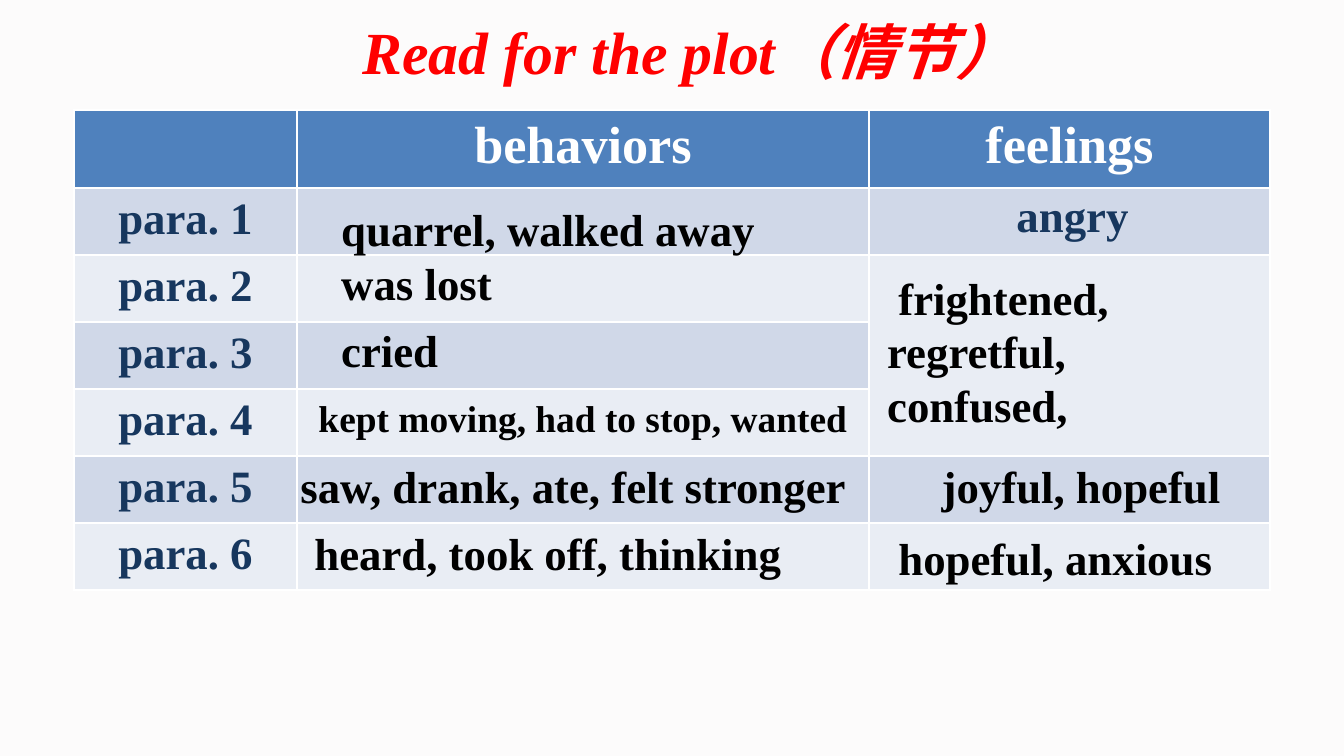
import pptx
import pptx.util
import pptx.dml.color
import pptx.enum.text

COLORS = {
    "background": "FCFBFB", "title": "FF0000", "header": "4F81BD",
    "header_text": "FFFFFF", "odd_band": "D0D8E8", "even_band": "E9EDF4",
    "label": "17375E", "answer": "000000",
}
FONT = "Times New Roman"
TITLE = "Read for the plot（情节）"
HEADERS = ["", "behaviors", "feelings"]
PARAGRAPHS = [f"para. {number}" for number in range(1, 7)]
COLUMN_WIDTHS = [223, 572, 401]
HEADER_HEIGHT, ROW_HEIGHT = 78, 67
TABLE_LEFT, TABLE_TOP = 74, 110

ANSWERS = [
    (["quarrel, walked away"], (328, 195, 446, 67), {}),
    (["was lost"], (328, 249, 185, 67), {}),
    (["cried"], (328, 316, 175, 67), {}),
    (["kept moving, had to stop, wanted"], (298, 384, 570, 67), {"size": 20, "align": "CENTER"}),
    ([" saw, drank, ate, felt stronger"], (276, 452, 641, 67), {}),
    ([" heard, took off, thinking"], (290, 519, 563, 67), {}),
    (["angry"], (875, 181, 395, 67), {"color": "label", "align": "CENTER"}),
    ([" frightened,", "regretful,", "confused,"], (874, 263, 329, 176), {}),
    ([" joyful, hopeful"], (875, 452, 401, 67), {"align": "CENTER"}),
    ([" hopeful, anxious"], (874, 524, 563, 67), {}),
]


def px(length):
    return pptx.util.Emu(round(length * 914400 / 134.4))


def paint(fill, color):
    fill.solid()
    fill.fore_color.rgb = pptx.dml.color.RGBColor.from_string(COLORS[color])


def place(shape, box):
    for side, length in zip(("left", "top", "width", "height"), box):
        setattr(shape, side, px(length))


def write(frame, lines, size=24, color="answer", align="LEFT", italic=False):
    frame.text = "\n".join(lines)
    font_format = {"name": FONT, "size": pptx.util.Pt(size), "bold": True, "italic": italic}
    for paragraph in frame.paragraphs:
        paragraph.alignment = pptx.enum.text.PP_ALIGN[align]
        for attribute, value in font_format.items():
            setattr(paragraph.font, attribute, value)
        for run in paragraph.runs:
            for attribute, value in font_format.items():
                setattr(run.font, attribute, value)
            paint(run.font.fill, color)


deck = pptx.Presentation()
deck.slide_width, deck.slide_height = px(1344), px(756)
slide = deck.slides.add_slide(deck.slide_layouts[5])
paint(slide.background.fill, "background")

title = slide.shapes.title
place(title, (328, 8, 722, 86))
title.text_frame.vertical_anchor = pptx.enum.text.MSO_ANCHOR.TOP
title.text_frame.auto_size = pptx.enum.text.MSO_AUTO_SIZE.NONE
write(title.text_frame, [TITLE], 32, "title", "CENTER", True)

rows = [HEADERS] + [[label, "", ""] for label in PARAGRAPHS]
row_heights = [HEADER_HEIGHT] + [ROW_HEIGHT] * len(PARAGRAPHS)
plot_table = slide.shapes.add_table(
    len(rows), len(HEADERS), px(TABLE_LEFT), px(TABLE_TOP),
    px(sum(COLUMN_WIDTHS)), px(sum(row_heights))).table
for column, width in zip(plot_table.columns, COLUMN_WIDTHS):
    column.width = px(width)
for row_index, (texts, height) in enumerate(zip(rows, row_heights)):
    plot_table.rows[row_index].height = px(height)
    band = "header" if row_index == 0 else "odd_band" if row_index % 2 else "even_band"
    size, color = (28, "header_text") if row_index == 0 else (24, "label")
    for column_index, text in enumerate(texts):
        cell = plot_table.cell(row_index, column_index)
        paint(cell.fill, band)
        write(cell.text_frame, [text], size, color, "CENTER")
plot_table.cell(2, 2).merge(plot_table.cell(4, 2))

for lines, box, text_format in ANSWERS:
    answer = slide.shapes.add_textbox(*map(px, box))
    answer.text_frame.word_wrap = True
    answer.text_frame.vertical_anchor = pptx.enum.text.MSO_ANCHOR.MIDDLE
    write(answer.text_frame, lines, **text_format)

deck.save("out.pptx")
